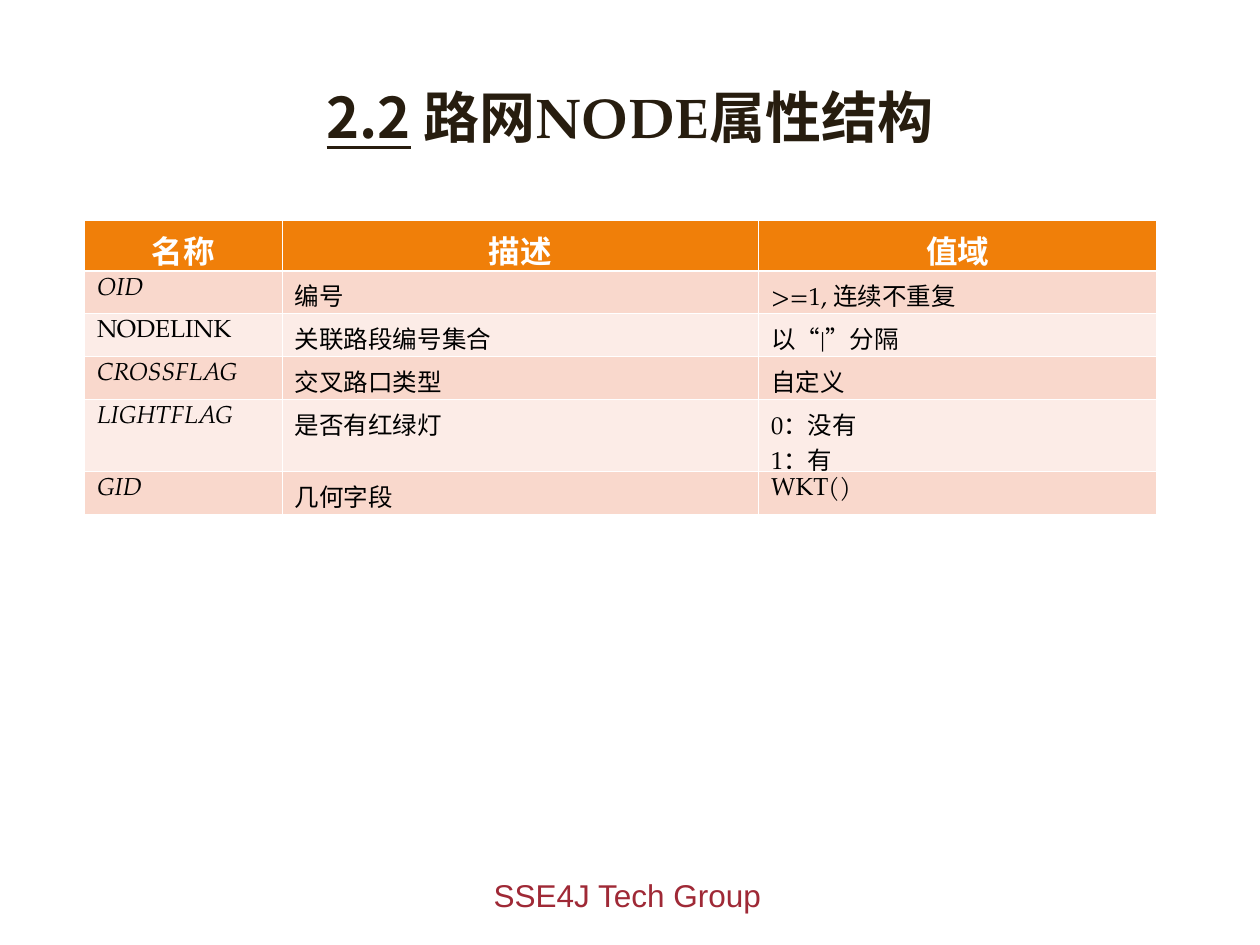
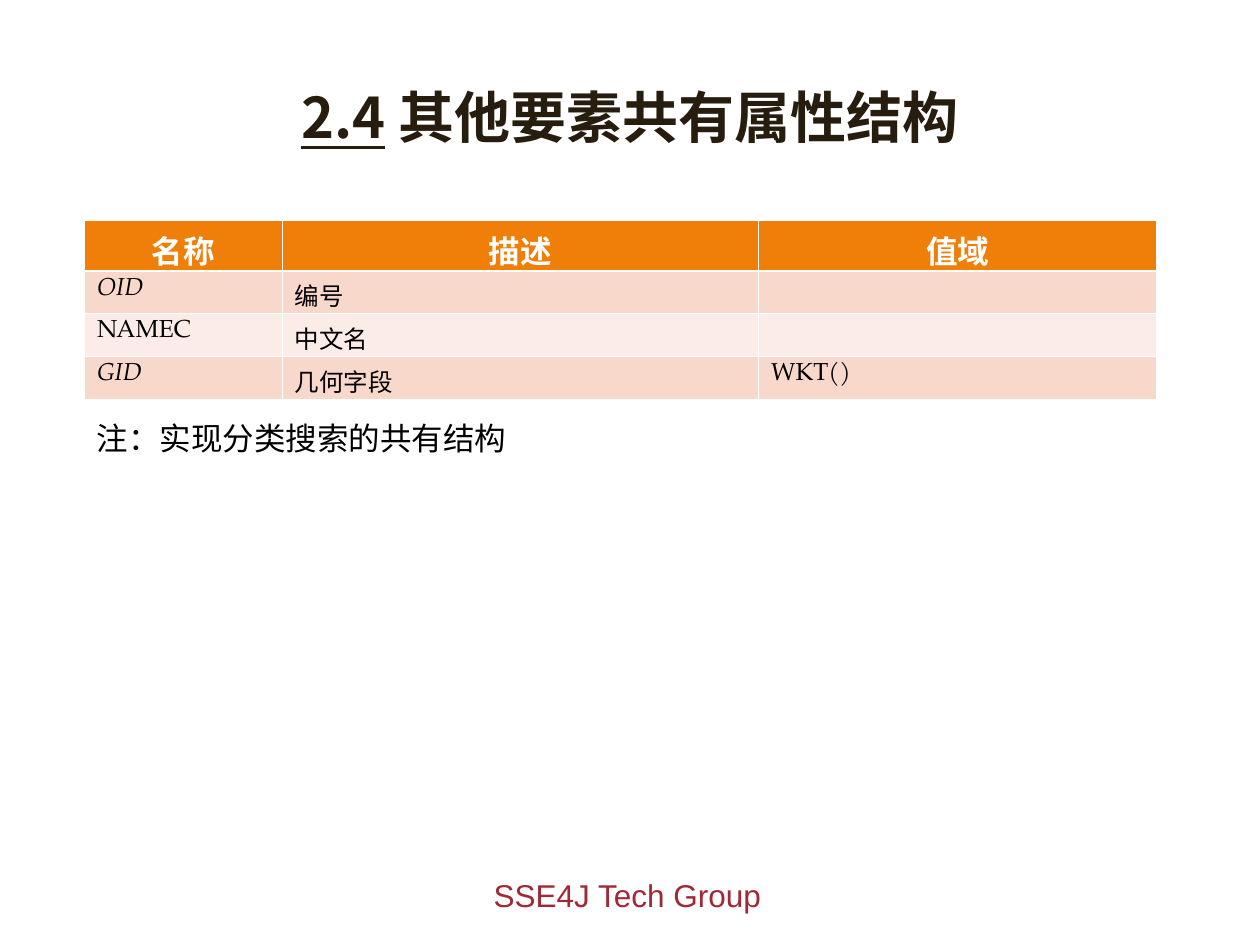
from pptx import Presentation
from pptx.dml.color import RGBColor
from pptx.enum.text import MSO_ANCHOR as ANCHOR, MSO_AUTO_SIZE as AUTO, PP_ALIGN as ALIGN
from pptx.oxml.ns import qn
from pptx.util import Pt
from lxml.etree import SubElement

PX = 9144
BLACK = RGBColor(0x00, 0x00, 0x00)
WHITE = RGBColor(0xFF, 0xFF, 0xFF)
BROWN = RGBColor(0x27, 0x1D, 0x0F)
CRIMSON = RGBColor(0x9F, 0x29, 0x36)
ORANGE = RGBColor(0xF0, 0x7F, 0x09)
PEACH = RGBColor(0xF9, 0xD8, 0xCC)
PALE = RGBColor(0xFC, 0xEC, 0xE7)

CJK, SERIF, SANS = "Noto Sans CJK SC", "TeX Gyre Pagella", "Arial"
TITLE = dict(size=Pt(32), name=SERIF, bold=True, color=BROWN)
NUMBER = TITLE | dict(name=CJK, underline=True)
GAP = TITLE | dict(name=CJK, underline=False)
HEAD = dict(size=Pt(18), name=SERIF, bold=True, color=WHITE)
BODY = dict(size=Pt(14), name=SERIF, bold=False, color=BLACK)
FOOTER = dict(size=Pt(18), name=SANS, color=CRIMSON)
NOTE = FOOTER | dict(color=BLACK)

HEADINGS = ("名称", "描述", "值域")
UPRIGHT_FIELDS = {"NODELINK", "NAMEC"}
COL_WIDTHS = (157, 378, 316)
HEAD_H, ROW_H, EXTRA_LINE_H = 40, 34, 23
THIN, THICK = Pt(0.45), Pt(1.47)

NODE_FIELDS = [
    ("OID", "编号", ">=1, 连续不重复"),
    ("NODELINK", "关联路段编号集合", "以“|”分隔"),
    ("CROSSFLAG", "交叉路口类型", "自定义"),
    ("LIGHTFLAG", "是否有红绿灯", "0：没有\n1：有"),
    ("GID", "几何字段", "WKT()"),
]
SHARED_FIELDS = [
    ("OID", "编号", ""),
    ("NAMEC", "中文名", ""),
    ("GID", "几何字段", "WKT()"),
]


class Deck:
    def __init__(self):
        self.prs = Presentation()
        self.prs.slide_width, self.prs.slide_height = 1000 * PX, 750 * PX
        self.s = None

    def slide(self, number, title):
        self.s = self.prs.slides.add_slide(self.prs.slide_layouts[5])
        self.text("SSE4J Tech Group", (382, 690, 235, 40), FOOTER)
        sp = self.s.shapes.title
        self.place(sp, (50, 30, 900, 125))
        tf = sp.text_frame
        tf.vertical_anchor, tf.auto_size = ANCHOR.MIDDLE, AUTO.NONE
        p = tf.paragraphs[0]
        p.alignment = ALIGN.CENTER
        for text, style in ((number, NUMBER), (" ", GAP), (title, TITLE)):
            self.run(p, text, style)

    def place(self, sp, box):
        for side, value in zip(("left", "top", "width", "height"), box):
            setattr(sp, side, value * PX)

    def run(self, p, text, style):
        r = p.add_run()
        r.text = text
        for key, value in style.items():
            if key == "color":
                r.font.color.rgb = value
            else:
                setattr(r.font, key, value)
        SubElement(r.font._element, qn("a:ea"), typeface=CJK)

    def text(self, text, box, style):
        sp = self.s.shapes.add_textbox(*(v * PX for v in box))
        tf = sp.text_frame
        tf.word_wrap, tf.auto_size = False, AUTO.SHAPE_TO_FIT_TEXT
        self.run(tf.paragraphs[0], text, style)

    def border(self, cell, top, bottom):
        tcPr = cell._tc.get_or_add_tcPr()
        for tag, width in (("lnL", THIN), ("lnR", THIN), ("lnT", top), ("lnB", bottom)):
            ln = SubElement(tcPr, qn(f"a:{tag}"), w=str(int(width)))
            fill = SubElement(ln, qn("a:solidFill"))
            SubElement(fill, qn("a:srgbClr"), val=str(WHITE))

    def cell(self, cell, text, style, fill, align):
        tf = cell.text_frame
        for i, line in enumerate(text.split("\n")):
            p = tf.add_paragraph() if i else tf.paragraphs[0]
            p.alignment = align
            if line:
                self.run(p, line, style)
            else:
                end = SubElement(p._p, qn("a:endParaRPr"), sz=str(int(style["size"].pt * 100)))
                SubElement(end, qn("a:latin"), typeface=style["name"])
        cell.fill.solid()
        cell.fill.fore_color.rgb = fill

    def table(self, fields):
        rows = [HEADINGS, *fields]
        heights = [HEAD_H] + [
            ROW_H + EXTRA_LINE_H * max(t.count("\n") for t in row) for row in fields
        ]
        frame = self.s.shapes.add_table(
            len(rows), len(COL_WIDTHS),
            67 * PX, 175 * PX, sum(COL_WIDTHS) * PX, sum(heights) * PX)
        table = frame.table
        for col, width in zip(table.columns, COL_WIDTHS):
            col.width = width * PX
        for i, (row, height) in enumerate(zip(rows, heights)):
            table.rows[i].height = height * PX
            for j, text in enumerate(row):
                cell = table.cell(i, j)
                self.border(cell, THICK if i == 1 else THIN, THICK if i == 0 else THIN)
                if i == 0:
                    self.cell(cell, text, HEAD, ORANGE, ALIGN.CENTER)
                else:
                    italic = j == 0 and text not in UPRIGHT_FIELDS
                    fill = PEACH if i % 2 else PALE
                    self.cell(cell, text, BODY | dict(italic=italic), fill, ALIGN.LEFT)


def main():
    deck = Deck()
    deck.slide("2.2", "路网NODE属性结构")
    deck.table(NODE_FIELDS)
    deck.slide("2.4", "其他要素共有属性结构")
    deck.table(SHARED_FIELDS)
    deck.text("注：实现分类搜索的共有结构", (67, 328, 345, 40), NOTE)
    deck.prs.save("out.pptx")


if __name__ == "__main__":
    main()
